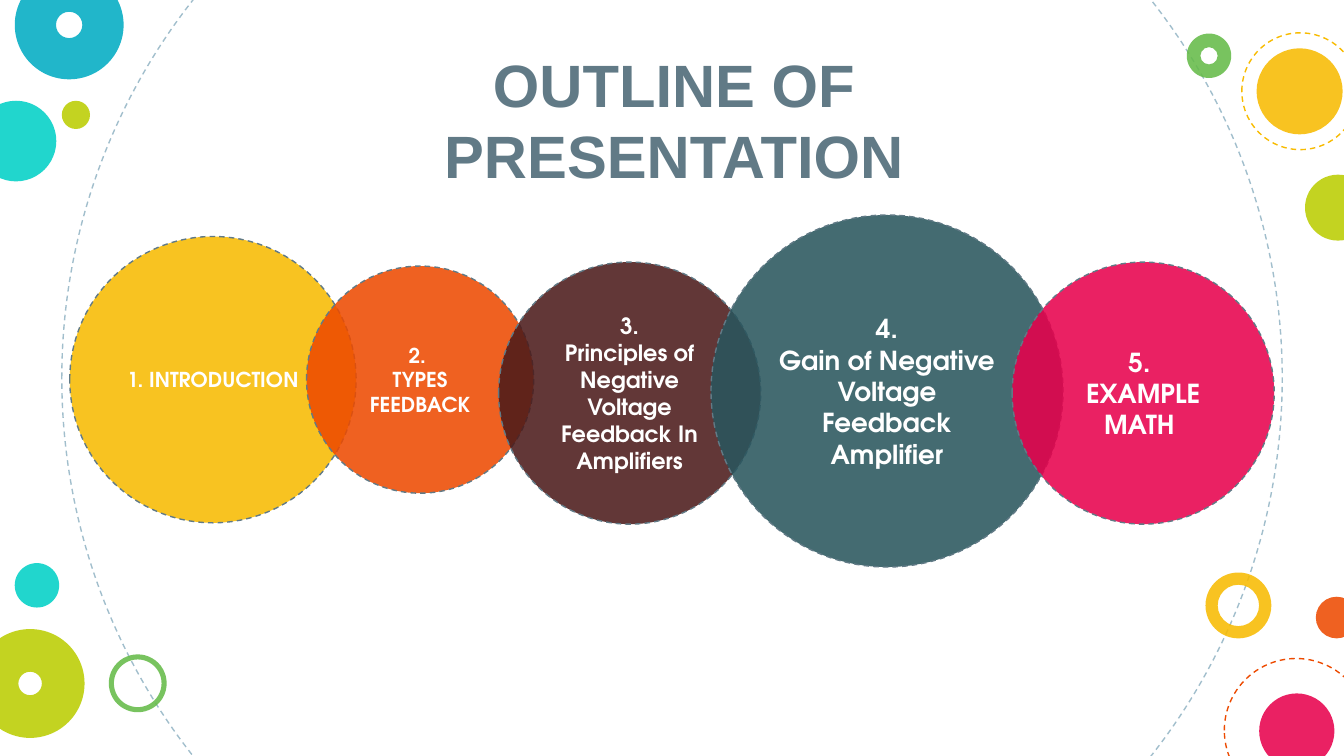
"""Build the outline slide: a chain of five topic circles framed by bubbles."""
from lxml.etree import SubElement
from pptx import Presentation
from pptx.dml.color import RGBColor
from pptx.enum.dml import MSO_LINE
from pptx.enum.shapes import MSO_SHAPE
from pptx.enum.text import MSO_ANCHOR, PP_ALIGN
from pptx.oxml.ns import qn
from pptx.util import Pt

YELLOW = RGBColor(0xF8, 0xBB, 0x00)
ORANGE = RGBColor(0xED, 0x4A, 0x00)
MAROON = RGBColor(0x4B, 0x1A, 0x1A)
TEAL = RGBColor(0x29, 0x55, 0x5D)
PINK = RGBColor(0xE8, 0x00, 0x4C)
AQUA = RGBColor(0x00, 0xD1, 0xC6)
BLUE = RGBColor(0x00, 0xAC, 0xC3)
LIME = RGBColor(0xBB, 0xCD, 0x00)
GREEN = RGBColor(0x65, 0xBB, 0x48)
SLATE = RGBColor(0x61, 0x7A, 0x86)
MIST = RGBColor(0xA1, 0xBE, 0xCC)
WHITE = RGBColor(0xFF, 0xFF, 0xFF)

WIDTH, HEIGHT = 720, 405
INSET = 7.2
OPACITY = 87
TITLE = "OUTLINE OF PRESENTATION"

# left, top, diameter, colour
RINGS = [
    (33.1, -124.4, 653.8, MIST),
    (655.9, 352.8, 77, ORANGE),
    (665.3, 17.6, 62.6, YELLOW),
]
DISCS = [
    (-13, 54, 43.2, AQUA),
    (33.1, 54, 15.1, LIME),
    (704.9, 319.7, 22.3, ORANGE),
    (674.6, 371.5, 40.3, PINK),
    (673.2, 25.9, 46.1, YELLOW),
    (699.1, 93.6, 35.3, LIME),
    (7.9, 301.7, 23.8, AQUA),
]
# left, top, diameter, colour, band thickness
DONUTS = [
    (645.8, 306.7, 35.3, YELLOW, 0.186),
    (7.9, -15.8, 58.3, BLUE, 0.379),
    (58.3, 350.6, 31, GREEN, 0.088),
    (-13, 337, 58.3, LIME, 0.392),
    (635.8, 18, 23.8, GREEN, 0.306),
]
# left, centre height, diameter, colour, text size, paragraphs
TOPICS = [
    (37.4, 203.4, 153.4, YELLOW, 11, ["1. INTRODUCTION"]),
    (164.2, 203.4, 121.7, ORANGE, 11, ["2. ", "TYPES FEEDBACK"]),
    (267.1, 210.6, 140.4, MAROON, 12,
     ["3.", "Principles of Negative Voltage Feedback In Amplifiers"]),
    (380.9, 209.5, 188.6, TEAL, 14,
     ["4.", "Gain of Negative Voltage Feedback Amplifier"]),
    (542.2, 210.6, 140.4, PINK, 14, ["5. ", "EXAMPLE MATH "]),
]


def add_circle(slide, left, top, diameter, fill=None, outline=None, kind=MSO_SHAPE.OVAL):
    circle = slide.shapes.add_shape(kind, Pt(left), Pt(top), Pt(diameter), Pt(diameter))
    circle.shadow.inherit = False
    if fill is None:
        circle.fill.background()
    else:
        circle.fill.solid()
        circle.fill.fore_color.rgb = fill
        color = circle.fill._xPr.find(qn("a:solidFill"))[0]
        SubElement(color, qn("a:alpha")).set("val", str(OPACITY * 1000))
    if outline is None:
        circle.line.fill.background()
    else:
        circle.line.color.rgb = outline
        circle.line.width = Pt(0.75)
        circle.line.dash_style = MSO_LINE.DASH
    return circle


def write(shape, text, anchor, font, size, color):
    frame = shape.text_frame
    frame.text = text
    frame.word_wrap = True
    frame.vertical_anchor = anchor
    frame.margin_left = frame.margin_right = Pt(INSET)
    frame.margin_top = frame.margin_bottom = Pt(INSET)
    for paragraph in frame.paragraphs:
        paragraph.alignment = PP_ALIGN.CENTER
        paragraph.line_spacing = 1.0
        paragraph.space_before = Pt(0)
        for run in paragraph.runs:
            run.font.name = font
            run.font.size = Pt(size)
            run.font.bold = True
            run.font.color.rgb = color


def main():
    deck = Presentation()
    deck.slide_width, deck.slide_height = Pt(WIDTH), Pt(HEIGHT)
    slide = deck.slides.add_slide(deck.slide_layouts[5])

    for left, top, diameter, color in RINGS:
        add_circle(slide, left, top, diameter, outline=color)
    for left, top, diameter, color in DISCS:
        add_circle(slide, left, top, diameter, color)
    for left, top, diameter, color, band in DONUTS:
        donut = add_circle(slide, left, top, diameter, color, kind=MSO_SHAPE.DONUT)
        donut.adjustments[0] = band

    title = slide.shapes.title
    title.left, title.top, title.width, title.height = Pt(153.4), Pt(59), Pt(415.4), Pt(50.4)
    write(title, TITLE, MSO_ANCHOR.BOTTOM, "Arial", 32, SLATE)

    for left, middle, diameter, color, size, paragraphs in TOPICS:
        topic = add_circle(slide, left, middle - diameter / 2, diameter, color, SLATE)
        write(topic, "\n".join(paragraphs), MSO_ANCHOR.MIDDLE, "TeX Gyre Adventor", size, WHITE)

    deck.save("out.pptx")


if __name__ == "__main__":
    main()
